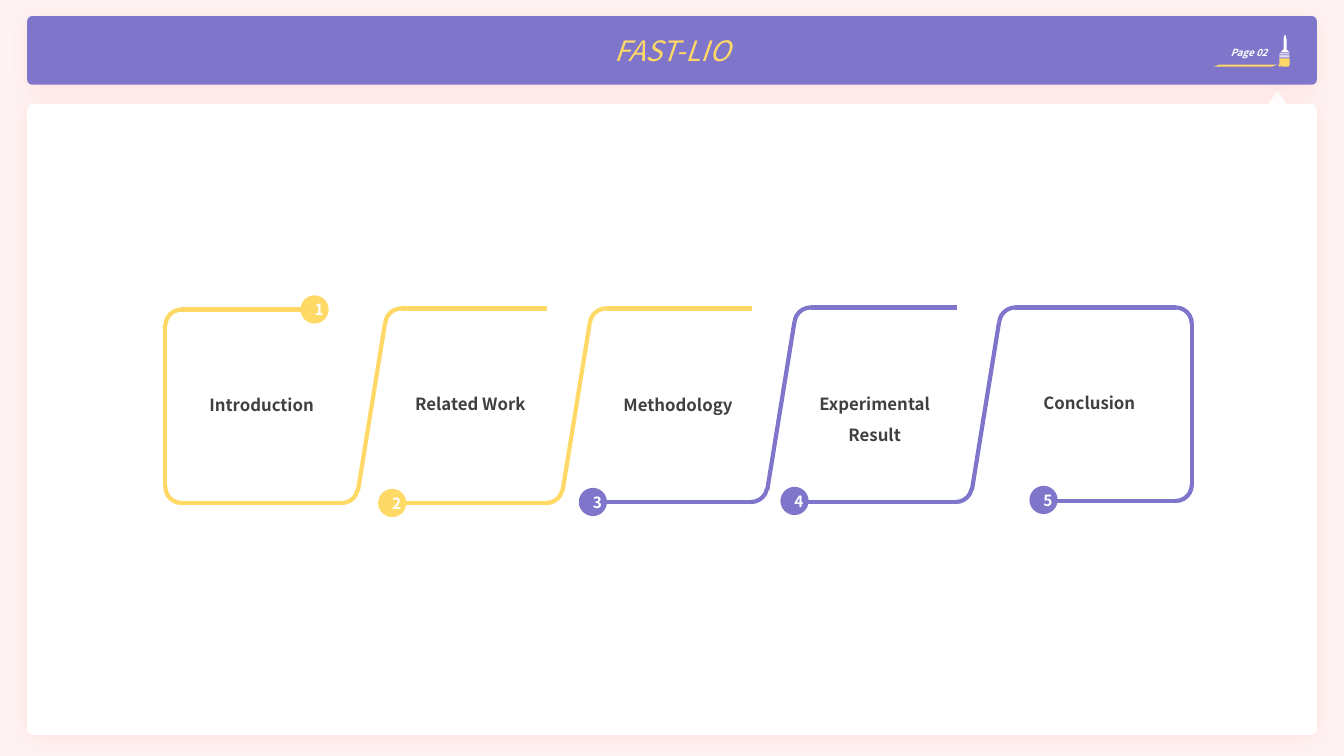
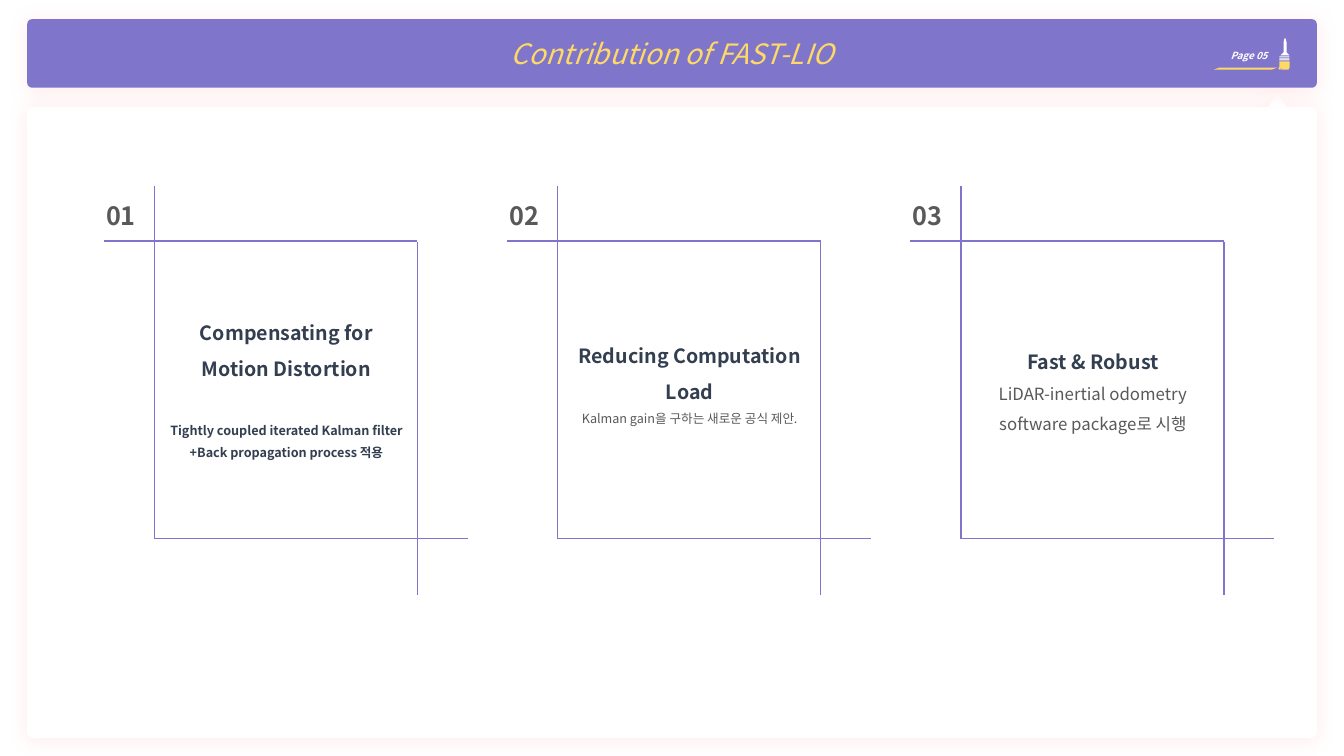
"""Build two slides: the agenda ribbon and the contributions of FAST-LIO."""
from math import cos, radians, sin

from lxml.etree import SubElement
from pptx import Presentation
from pptx.dml.color import RGBColor
from pptx.enum.shapes import MSO_CONNECTOR, MSO_SHAPE
from pptx.enum.text import MSO_ANCHOR, MSO_AUTO_SIZE, PP_ALIGN
from pptx.oxml.ns import qn
from pptx.util import Inches, Pt

STRAIGHT = MSO_CONNECTOR.STRAIGHT
ARC, OVAL, RECTANGLE = MSO_SHAPE.ARC, MSO_SHAPE.OVAL, MSO_SHAPE.RECTANGLE
ROUNDED, PARALLELOGRAM = MSO_SHAPE.ROUNDED_RECTANGLE, MSO_SHAPE.PARALLELOGRAM
MIDDLE, FIT_SHAPE = MSO_ANCHOR.MIDDLE, MSO_AUTO_SIZE.SHAPE_TO_FIT_TEXT
CENTER, RIGHT = PP_ALIGN.CENTER, PP_ALIGN.RIGHT

FONT = "Noto Sans CJK KR"
PURPLE, YELLOW, WHITE, PINK, GLOW = "7F75CB", "FFD966", "FFFFFF", "FFF3F3", "FF7C80"
DARK, GRAY, NAVY = "404040", "595959", "333F50"
LEFT, WIDE = 0.27, 12.79
CORNER = 0.32

HANDLE = [(0, 0.36), (0.03, 0.33), (0.03, 0.23), (0.04, 0.19), (0.05, 0.19),
          (0.06, 0.23), (0.06, 0.33), (0.09, 0.36)]
BRISTLES = [(-0.02, 0.49), (-0.01, 0.5), (0, 0.5), (0.01, 0.47), (0.01, 0.5),
            (0.08, 0.5), (0.09, 0.48), (0.09, 0.42), (-0.01, 0.42), (-0.01, 0.47)]


def color(value):
    """Return the colour for a hex string."""
    return RGBColor.from_string(value)


class Deck:
    """Hold the shared style and the current slide."""

    def __init__(self):
        """Start an empty widescreen presentation."""
        self.presentation = Presentation()
        self.presentation.slide_width = Inches(13.33)
        self.presentation.slide_height = Inches(7.5)
        self.slide = None

    def format(self, paragraph, size, tint, bold=False, italic=False, align=CENTER):
        """Apply the font to the runs of a paragraph."""
        paragraph.alignment = align
        for run in paragraph.runs:
            font = run.font
            font.name, font.size = FONT, Pt(size)
            font.bold, font.italic = bold, italic
            font.color.rgb = color(tint)
            SubElement(run._r.get_or_add_rPr(), qn("a:ea"), typeface=FONT)

    def paint(self, shape, fill, glow=False):
        """Fill a shape without a line, with a soft glow on request."""
        shape.shadow.inherit = False
        shape.fill.solid()
        shape.fill.fore_color.rgb = color(fill)
        shape.line.fill.background()
        if glow:
            effects = shape.element.spPr.find(qn("a:effectLst"))
            shadow = SubElement(effects, qn("a:outerShdw"), blurRad=str(Pt(15)),
                                dist=str(Pt(2)), dir="5400000", algn="t", rotWithShape="0")
            tint = SubElement(shadow, qn("a:srgbClr"), val=GLOW)
            SubElement(tint, qn("a:alpha"), val="15000")

    def shape(self, kind, left, top, width, height, fill, glow=False):
        """Add a filled preset shape."""
        shape = self.slide.shapes.add_shape(
            kind, Inches(left), Inches(top), Inches(width), Inches(height))
        self.paint(shape, fill, glow)
        return shape

    def outline(self, points, fill, glow=False):
        """Add a filled closed outline."""
        points = [(Inches(x), Inches(y)) for x, y in points]
        builder = self.slide.shapes.build_freeform(*points[0])
        builder.add_line_segments(points[1:])
        self.paint(builder.convert_to_shape(), fill, glow)

    def line(self, start, end, tint, width):
        """Add a straight line."""
        line = self.slide.shapes.add_connector(
            STRAIGHT, *(Inches(value) for value in (*start, *end)))
        line.line.color.rgb = color(tint)
        line.line.width = Pt(width)
        SubElement(line.element.spPr, qn("a:effectLst"))

    def corner(self, left, top, rotation, tint, start=270, end=2):
        """Add a rounded corner of the ribbon."""
        arc = self.slide.shapes.add_shape(
            ARC, Inches(left), Inches(top), Inches(CORNER), Inches(CORNER))
        arc.adjustments[0], arc.adjustments[1] = start * 0.6, end * 0.6
        arc.rotation = rotation
        arc.shadow.inherit = False
        arc.fill.background()
        arc.line.color.rgb = color(tint)
        arc.line.width = Pt(3)

    def text(self, left, top, width, height, parts, spacing=1.5, **style):
        """Add a text box with one paragraph per (text, size, colour, bold, space)."""
        box = self.slide.shapes.add_textbox(
            Inches(left), Inches(top), Inches(width), Inches(height))
        frame = box.text_frame
        frame.word_wrap = True
        frame.auto_size = FIT_SHAPE
        frame.text = "\n".join(part[0] for part in parts)
        for paragraph, (_, size, tint, bold, space) in zip(frame.paragraphs, parts):
            paragraph.line_spacing = spacing
            paragraph.space_before = Pt(space)
            self.format(paragraph, size, tint, bold, **style)

    def badge(self, left, top, number, fill):
        """Add a numbered circle."""
        circle = self.shape(OVAL, left, top, 0.28, 0.28, fill)
        circle.text_frame.text = number
        circle.text_frame.vertical_anchor = MIDDLE
        self.format(circle.text_frame.paragraphs[0], 11, WHITE, True)

    def panel(self, top):
        """Add the white panel with its pointer."""
        right, bottom, radius = LEFT + WIDE, top + 6.26, 0.06
        points = [(12.58, top), (12.67, top - 0.13), (12.76, top)]
        centers = [(right - radius, top + radius), (right - radius, bottom - radius),
                   (LEFT + radius, bottom - radius), (LEFT + radius, top + radius)]
        for index, (x, y) in enumerate(centers):
            for step in range(7):
                angle = radians(index * 90 - 90 + step * 15)
                points.append((x + radius * cos(angle), y + radius * sin(angle)))
        self.outline(points, WHITE, True)

    def page(self, title, number, top, background):
        """Start a slide with the title band, panel and page mark."""
        self.slide = self.presentation.slides.add_slide(self.presentation.slide_layouts[5])
        self.slide.background.fill.solid()
        self.slide.background.fill.fore_color.rgb = color(background)
        self.panel(top + 0.87)
        band = self.shape(ROUNDED, LEFT, top, WIDE, 0.68, PURPLE, True)
        band.adjustments[0] = 0.07
        heading = self.slide.shapes.title
        heading.left, heading.top = Inches(LEFT), Inches(top)
        heading.width, heading.height = Inches(WIDE), Inches(0.68)
        heading.text_frame.text = title
        heading.text_frame.vertical_anchor = MIDDLE
        self.format(heading.text_frame.paragraphs[0], 20, YELLOW, italic=True)
        self.slide.shapes.element.append(heading.element)
        for points, fill in ((HANDLE, WHITE), (BRISTLES, YELLOW)):
            self.outline([(12.7 + x, top + y) for x, y in points], fill)
        for offset in (0.37, 0.39, 0.4):
            self.shape(RECTANGLE, 12.69, top + offset, 0.1, 0.01, WHITE)
        stroke = self.shape(PARALLELOGRAM, 12.04, top + 0.48, 0.63, 0.02, YELLOW)
        stroke.adjustments[0] = 2.73
        self.text(11.81, top + 0.25, 0.86, 0.22, [(f"Page {number}", 7, WHITE, True, 0)],
                  spacing=1, italic=True, align=RIGHT)

    def link(self, left, top, tint, bottom_start, top_end):
        """Add a slanted part of the ribbon with its bottom and top lines."""
        self.line((bottom_start, top + 1.93), (left - 0.42, top + 1.93), tint, 3)
        self.corner(left - 0.59, top + 1.61, 90, tint, 281, 2.4)
        self.line((left - 0.27, top + 1.81), (left, top + 0.14), tint, 3)
        self.corner(left, top, 270, tint, 277, 2)
        self.line((left + 0.16, top), (top_end, top), tint, 3)

    def card(self, left, number, top, height, parts):
        """Add a numbered card framed by four crossing lines."""
        right = left + 2.61
        for start, end in (((left, 1.85), (left, 5.35)), ((right, 2.4), (right, 5.9)),
                           ((left, 5.34), (right + 0.5, 5.34)),
                           ((left - 0.5, 2.39), (right, 2.39))):
            self.line(start, end, PURPLE, 1)
        self.text(left - 0.73, 1.79, 0.8, 0.5, [(number, 18, GRAY, True, 0)])
        self.text(left, top, 2.62, height, parts)


def agenda(deck):
    """Build the agenda slide."""
    deck.page("FAST-LIO", "02", 0.16, PINK)
    deck.corner(1.64, 3.07, 270, YELLOW)
    deck.line((1.79, 3.07), (3.05, 3.07), YELLOW, 3)
    deck.line((1.64, 3.22), (1.64, 4.84), YELLOW, 3)
    deck.corner(1.64, 4.67, 180, YELLOW)
    tops = (3.06, 3.06, 3.05, 3.05)
    tints = (YELLOW, YELLOW, PURPLE, PURPLE)
    for index, (top, tint) in enumerate(zip(tops, tints)):
        left = 3.82 + 2.03 * index
        top_end = 11.66 if index == 3 else left + 1.61
        deck.link(left, top, tint, left - 2.03, top_end)
    deck.corner(11.5, 3.05, 0, PURPLE)
    deck.line((11.82, 4.82), (11.82, 3.2), PURPLE, 3)
    deck.corner(11.5, 4.65, 90, PURPLE)
    deck.line((11.67, 4.97), (10.4, 4.97), PURPLE, 3)
    topics = [
        ("Introduction", 1.7, 3.77, 2.98, 2.93, YELLOW),
        ("Related Work", 3.77, 3.76, 3.75, 4.85, YELLOW),
        ("Methodology", 5.83, 3.77, 5.74, 4.84, PURPLE),
        ("Experimental Result", 7.78, 3.76, 7.74, 4.83, PURPLE),
        ("Conclusion", 9.91, 3.75, 10.21, 4.82, PURPLE),
    ]
    for number, (topic, left, top, badge_left, badge_top, tint) in enumerate(topics, 1):
        deck.text(left, top, 1.79, 0.36, [(topic, 12, DARK, True, 0)])
        deck.badge(badge_left, badge_top, str(number), tint)


def contributions(deck):
    """Build the contributions slide."""
    deck.page("Contribution of FAST-LIO", "05", 0.19, WHITE)
    cards = [
        (3.02, 1.59, "Compensating for Motion Distortion",
         ("Tightly coupled iterated Kalman filter +Back propagation process 적용",
          9, NAVY, True, 25)),
        (3.25, 1.01, "Reducing Computation Load",
         ("Kalman gain을 구하는 새로운 공식 제안.", 9, GRAY, False, 0)),
        (3.31, 1.02, "Fast & Robust",
         ("LiDAR-inertial odometry software package로 시행", 12, GRAY, False, 0)),
    ]
    for index, (top, height, heading, detail) in enumerate(cards):
        deck.card(1.53 + 4 * index, f"{index + 1:02}", top, height,
                  [(heading, 14, NAVY, True, 0), detail])


def main():
    """Build and save the presentation."""
    deck = Deck()
    agenda(deck)
    contributions(deck)
    deck.presentation.save("out.pptx")


if __name__ == "__main__":
    main()
